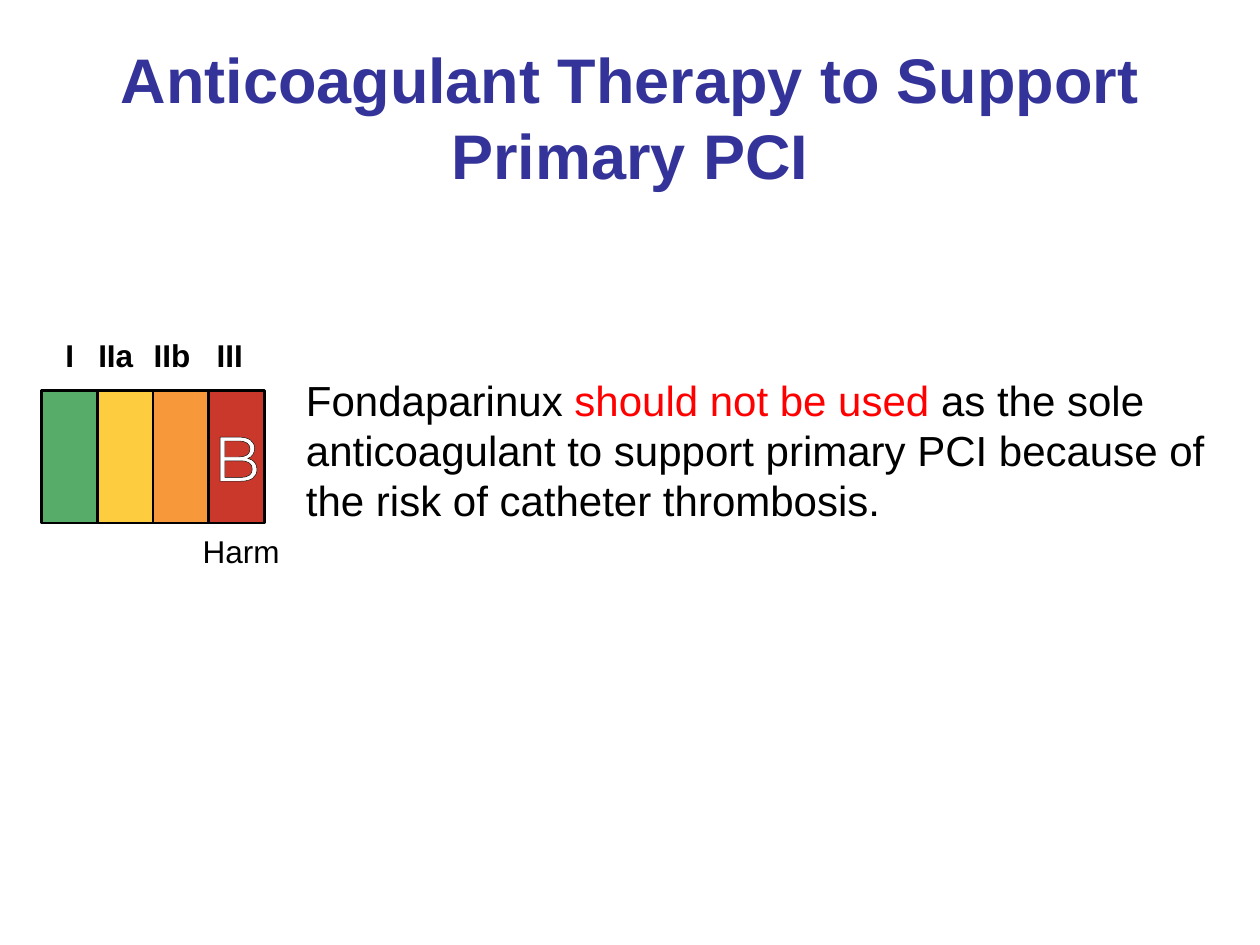
from dataclasses import dataclass

from lxml.etree import SubElement
from pptx import Presentation
from pptx.dml.color import RGBColor
from pptx.enum.shapes import MSO_SHAPE as Shape
from pptx.enum.text import MSO_ANCHOR as Anchor, PP_ALIGN as Align
from pptx.oxml.ns import qn
from pptx.util import Inches, Pt


@dataclass(frozen=True)
class Theme:
    font: str = "Arial"
    grade_font: str = "Montserrat"
    title_color: str = "333399"
    text_color: str = "000000"
    warning_color: str = "FF0000"
    grade_color: str = "FFFFFF"
    large_size: int = 36
    body_size: int = 24
    label_size: int = 18


@dataclass(frozen=True)
class Box:
    left: float
    top: float
    width: float
    height: float

    def lengths(self) -> tuple:
        return tuple(Inches(v) for v in (self.left, self.top, self.width, self.height))


@dataclass(frozen=True)
class RecommendationClass:
    label: str
    color: str
    label_left: float
    label_width: float


THEME = Theme()
BARS = Box(0.33, 3.1, 1.77, 1.05)
LABEL_TOP, LABEL_HEIGHT = 2.67, 0.3
GRADE_TOP, GRADE_HEIGHT = 3.27, 0.62
CLASSES = [
    RecommendationClass("I", "57AC69", 0.52, 0.07),
    RecommendationClass("IIa", "FDCC3F", 0.78, 0.28),
    RecommendationClass("IIb", "F7983A", 1.22, 0.3),
    RecommendationClass("III", "C9382A", 1.72, 0.21),
]
STATEMENT = [
    ("Fondaparinux ", THEME.text_color),
    ("should not be used ", THEME.warning_color),
    ("as the sole anticoagulant to support primary PCI because of "
     "the risk of catheter thrombosis.", THEME.text_color),
]


def format_run(run, size: int, color: str, bold: bool = False, font: str = THEME.font) -> None:
    run.font.name = font
    run.font.size = Pt(size)
    run.font.bold = bold
    run.font.color.rgb = RGBColor.from_string(color)


def add_text(shapes, box: Box, text: str = "", wrap: bool = True,
             side_inset: float = 0.1, end_inset: float = 0.05):
    """Add a text box and return its text frame."""
    frame = shapes.add_textbox(*box.lengths()).text_frame
    frame.word_wrap = wrap
    frame.margin_left = frame.margin_right = Inches(side_inset)
    frame.margin_top = frame.margin_bottom = Inches(end_inset)
    frame.text = text
    return frame


def add_title(slide) -> None:
    title = slide.shapes.title
    title.left, title.top, title.width, title.height = Box(0.5, 0.3, 9, 1.25).lengths()
    frame = title.text_frame
    frame.text = "Anticoagulant Therapy to Support Primary PCI"
    frame.vertical_anchor = Anchor.MIDDLE
    paragraph = frame.paragraphs[0]
    paragraph.alignment = Align.CENTER
    format_run(paragraph.runs[0], THEME.large_size, THEME.title_color, bold=True)


def add_statement(slide) -> None:
    paragraph = add_text(slide.shapes, Box(2.33, 2.92, 7.42, 1.31)).paragraphs[0]
    for text, color in STATEMENT:
        run = paragraph.add_run()
        run.text = text
        format_run(run, THEME.body_size, color)


def bar_box(index: int) -> Box:
    width = BARS.width / len(CLASSES)
    return Box(BARS.left + index * width, BARS.top, width, BARS.height)


def add_bar(shapes, index: int, color: str) -> None:
    bar = shapes.add_shape(Shape.RECTANGLE, *bar_box(index).lengths())
    bar.shadow.inherit = False
    bar.fill.solid()
    bar.fill.fore_color.rgb = RGBColor.from_string(color)
    bar.line.color.rgb = RGBColor.from_string(THEME.text_color)
    bar.line.width = Pt(1.5)


def add_class_label(shapes, item: RecommendationClass) -> None:
    box = Box(item.label_left, LABEL_TOP, item.label_width, LABEL_HEIGHT)
    frame = add_text(shapes, box, item.label, wrap=False, side_inset=0, end_inset=0)
    format_run(frame.paragraphs[0].runs[0], THEME.label_size, THEME.text_color, bold=True)


def outline_run(run, color: str, width: float) -> None:
    properties = run.font._element
    line = SubElement(properties, qn("a:ln"), w=str(Pt(width)))
    fill = SubElement(line, qn("a:solidFill"))
    SubElement(fill, qn("a:srgbClr"), val=color)
    properties.insert(0, line)  # the schema puts the outline before the fill


def add_evidence_grade(shapes) -> None:
    """Centre the grade letter across the last bar."""
    bar = bar_box(len(CLASSES) - 1)
    box = Box(bar.left, GRADE_TOP, bar.width, GRADE_HEIGHT)
    paragraph = add_text(shapes, box, "B", side_inset=0).paragraphs[0]
    paragraph.alignment = Align.CENTER
    run = paragraph.runs[0]
    format_run(run, THEME.large_size, THEME.grade_color, font=THEME.grade_font)
    outline_run(run, THEME.text_color, 0.75)


def add_class_scale(slide) -> None:
    shapes = slide.shapes.add_group_shape().shapes
    for index, item in enumerate(CLASSES):
        add_bar(shapes, index, item.color)
        add_class_label(shapes, item)
    add_evidence_grade(shapes)


def add_harm_label(slide) -> None:
    frame = add_text(slide.shapes, Box(1.51, 4.17, 0.82, 0.4), "Harm")
    format_run(frame.paragraphs[0].runs[0], THEME.label_size, THEME.text_color)


def main() -> None:
    presentation = Presentation()
    presentation.slide_width, presentation.slide_height = Inches(10), Inches(7.5)
    slide = presentation.slides.add_slide(presentation.slide_layouts[5])
    add_title(slide)
    add_statement(slide)
    add_class_scale(slide)
    add_harm_label(slide)
    presentation.save("out.pptx")


if __name__ == "__main__":
    main()
